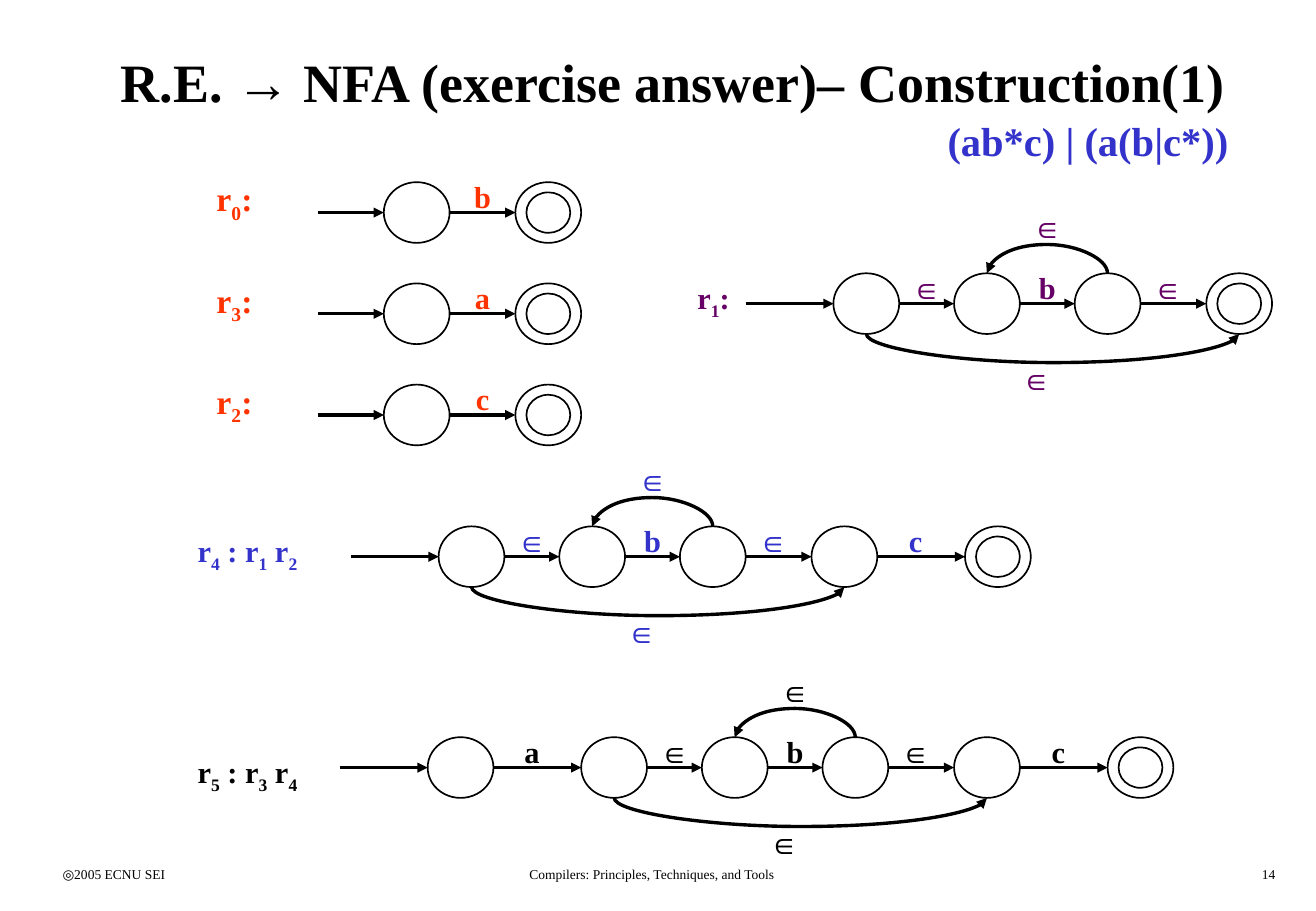
from itertools import groupby

from pptx import Presentation
from pptx.dml.color import RGBColor
from pptx.enum.shapes import MSO_CONNECTOR as LINE, MSO_SHAPE as SHAPE
from pptx.enum.text import MSO_ANCHOR as ANCHOR, MSO_AUTO_SIZE as FIT, PP_ALIGN as ALIGN
from pptx.oxml.ns import qn
from pptx.oxml.xmlchemy import OxmlElement
from pptx.util import Pt

# Content
FONT = "Times New Roman"
COLORS = {"black": "000000", "red": "FF3300", "purple": "660066", "blue": "3333CC"}
TITLE = "R.E. → NFA (exercise answer)– Construction(1)"
FORMULA = "(ab*c) | (a(b|c*))"
FOOTERS = [  # text, left, width, alignment
    ("◎2005 ECNU SEI", 30, 163, ALIGN.LEFT),
    ("Compilers: Principles, Techniques, and Tools", 240.5, 292, ALIGN.CENTER),
    ("14", 600, 163, ALIGN.RIGHT),
]

# Edges: symbol, length, distance from edge start to symbol centre
STAR = [("∈", 32.5, 16.25), ("b", 32.5, 16.25), ("∈", 39, 16.25)]
A_EDGE, C_EDGE = ("a", 52, 22.75), ("c", 52, 22.75)

# Name, (left, top, width, size, alignment) of the name, colour,
# start of entry arrow, its length, top of states, edges, first state of b*
SMALL_NAMES = [("r0:", "b", 108), ("r3:", "a", 168), ("r2:", "c", 228)]
AUTOMATA = [
    (name, (110, top - 6, 58, 20, ALIGN.CENTER), "red", 188.5, 39, top,
     [(symbol, 39, 19.5)], None)
    for name, symbol, top in SMALL_NAMES
] + [
    ("r1:", (397, 162, 52, 18, ALIGN.CENTER), "purple", 442, 52, 162, STAR, 0),
    ("r4 : r1 r2", (110, 312, 110, 18, ALIGN.LEFT), "blue", 208, 52, 312,
     STAR + [C_EDGE], 0),
    ("r5 : r3 r4", (110, 443, 110, 18, ALIGN.LEFT), "black", 201.5, 52, 437,
     [A_EDGE] + STAR + [C_EDGE], 1),
]

STATE_W, STATE_H = 39, 36
INSET_X, INSET_Y = 6.5, 6
SYMBOL_W = 45.5
BOW, THIN = 18, 0.12  # height of a curved arrow, thickness of its flat frame
SITE_TOP, SITE_BOTTOM = 0, 4


def rgb(name):
    return RGBColor.from_string(COLORS[name])


def write(tf, text, size, color, align=ALIGN.LEFT, bold=True, subscripts=False):
    p = tf.paragraphs[0]
    p.alignment = align
    pieces = groupby(text, str.isdigit) if subscripts else [(False, text)]
    for low, chars in pieces:
        r = p.add_run()
        r.text = "".join(chars)
        r.font.name, r.font.size, r.font.bold = FONT, Pt(size), bold
        r.font.color.rgb = rgb(color)
        if low:
            r.font._element.set("baseline", "-25000")


def add_text(shapes, text, left, top, width, height, size, color, wrap=True, **style):
    tf = shapes.add_textbox(Pt(left), Pt(top), Pt(width), Pt(height)).text_frame
    tf.word_wrap = wrap
    write(tf, text, size, color, **style)


def add_ellipse(shapes, left, top, width, height):
    sp = shapes.add_shape(SHAPE.OVAL, Pt(left), Pt(top), Pt(width), Pt(height))
    sp.shadow.inherit = False
    sp.fill.background()
    sp.line.color.rgb, sp.line.width = rgb("black"), Pt(1)
    return sp


def add_arrow(shapes, kind, x1, y1, x2, y2):
    arrow = shapes.add_connector(kind, Pt(x1), Pt(y1), Pt(x2), Pt(y2))
    arrow.line.color.rgb, arrow.line.width = rgb("black"), Pt(2)
    tail = OxmlElement("a:tailEnd")
    tail.set("type", "triangle")
    arrow.line._get_or_add_ln().append(tail)
    arrow._element.spPr.append(OxmlElement("a:effectLst"))
    return arrow


def add_curve(shapes, first, last, x1, x2, y, site):
    """Curved arrow between two states, above them or below them."""
    up = -1 if site == SITE_TOP else 1
    mid, half = (x1 + x2) / 2, abs(x2 - x1) / 2
    arrow = add_arrow(shapes, LINE.CURVE, mid + THIN / 2, y - up * half,
                      mid - THIN / 2, y + up * half)
    spPr = arrow._element.spPr
    spPr.find(qn("a:xfrm")).set("rot", "16200000")
    bend = OxmlElement("a:gd")
    bend.set("name", "adj1")
    bend.set("fmla", f"val {round(up * BOW / THIN * 100000)}")
    spPr.find(qn("a:prstGeom")).find(qn("a:avLst")).append(bend)
    arrow._connect_begin_to(first, site)
    arrow._connect_end_to(last, site)


def add_automaton(s, name, place, color, start, entry, top, edges, star):
    shapes = s.shapes.add_group_shape().shapes
    left, name_top, width, size, align = place
    add_text(shapes, name, left, name_top, width, 29, size, color,
             align=align, subscripts=True)

    def add_symbol(symbol, centre, y):
        add_text(shapes, symbol, centre - SYMBOL_W / 2, y, SYMBOL_W, 29, 18, color,
                 align=ALIGN.CENTER)

    # States
    xs = [start + entry]
    for _, length, _ in edges:
        xs.append(xs[-1] + STATE_W + length)
    states = [add_ellipse(shapes, x, top, STATE_W, STATE_H) for x in xs]
    add_ellipse(shapes, xs[-1] + INSET_X, top + INSET_Y,
                STATE_W - 2 * INSET_X, STATE_H - 2 * INSET_Y)

    # Straight arrows
    axis = top + STATE_H / 2
    add_arrow(shapes, LINE.STRAIGHT, start, axis, xs[0], axis)
    for x, (symbol, length, centre) in zip(xs, edges):
        edge = x + STATE_W
        add_arrow(shapes, LINE.STRAIGHT, edge, axis, edge + length, axis)
        add_symbol(symbol, edge + centre, top - 6)

    # Skip and repeat arrows of b*
    if star is not None:
        mids = [x + STATE_W / 2 for x in xs]
        skip, back, again, out = range(star, star + 4)
        add_curve(shapes, states[skip], states[out], mids[skip], mids[out],
                  top + STATE_H, SITE_BOTTOM)
        add_curve(shapes, states[again], states[back], mids[again], mids[back],
                  top, SITE_TOP)
        loop_centre = (mids[back] + mids[again]) / 2
        add_symbol("∈", loop_centre, top - 42)
        add_symbol("∈", loop_centre - 6.5, top + 48)


def main():
    prs = Presentation()
    prs.slide_width, prs.slide_height = Pt(780), Pt(540)
    s = prs.slides.add_slide(prs.slide_layouts[5])

    # Title and formula
    title = s.shapes.title
    title.left, title.top, title.width, title.height = Pt(30), Pt(12), Pt(738), Pt(72)
    tf = title.text_frame
    tf.auto_size, tf.vertical_anchor = FIT.NONE, ANCHOR.MIDDLE
    write(tf, TITLE, 32, "black", align=ALIGN.CENTER)
    add_text(s.shapes, FORMULA, 554.5, 65.5, 181, 36, 24, "blue", wrap=False)

    # Automata
    for automaton in AUTOMATA:
        add_automaton(s, *automaton)

    # Footer
    for text, left, width, align in FOOTERS:
        add_text(s.shapes, text, left, 510, width, 18, 8, "black", align=align, bold=False)

    prs.save("out.pptx")


if __name__ == "__main__":
    main()
